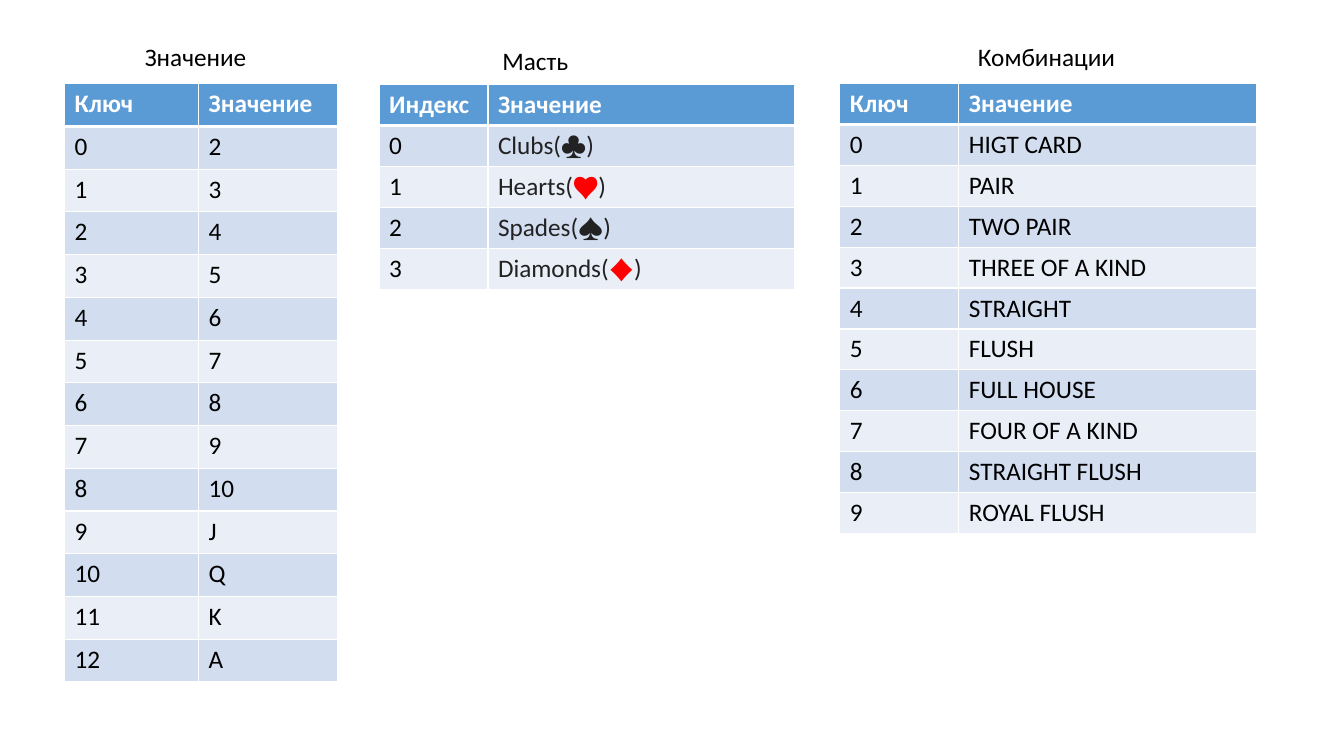
from lxml.etree import SubElement
from pptx import Presentation
from pptx.dml.color import RGBColor as Color
from pptx.enum.text import MSO_AUTO_SIZE as AutoSize, PP_ALIGN as Align
from pptx.oxml.ns import qn
from pptx.util import Emu, Pt

PX = 9144
WHITE = Color(0xFF, 0xFF, 0xFF)
BLACK = Color(0x00, 0x00, 0x00)
CHARCOAL = Color(0x22, 0x22, 0x22)
RED = Color(0xFF, 0x00, 0x00)
HEADER = Color(0x5B, 0x9B, 0xD5)
BANDS = (Color(0xD2, 0xDE, 0xEF), Color(0xEA, 0xEF, 0xF7))

RANKS = [*map(str, range(2, 11)), "J", "Q", "K", "A"]
SUITS = [
    [("Clubs(♣)", CHARCOAL)],
    [("Hearts(", CHARCOAL), ("♥", RED), (")", CHARCOAL)],
    [("Spades(♠)", CHARCOAL)],
    [("Diamonds(", CHARCOAL), ("♦", RED), (")", CHARCOAL)],
]
HANDS = [
    "HIGT CARD", "PAIR", "TWO PAIR", "THREE OF A KIND", "STRAIGHT", "FLUSH",
    "FULL HOUSE", "FOUR OF A KIND", "STRAIGHT FLUSH", "ROYAL FLUSH",
]


class CardSlide:
    """Hold the slide and its style, and draw captions and lookup tables."""

    font_name = "Calibri"
    font_size = Pt(18)

    def __init__(self, presentation):
        self.slide = presentation.slides.add_slide(presentation.slide_layouts[6])

    def add_run(self, paragraph, text, color, bold=False):
        run = paragraph.add_run()
        run.text = text
        run.font.name = self.font_name
        run.font.size = self.font_size
        run.font.bold = bold
        run.font.color.rgb = color

    def add_caption(self, text, left, top):
        bounds = (Emu(value * PX) for value in (left, top, 300, 40))
        frame = self.slide.shapes.add_textbox(*bounds).text_frame
        frame.word_wrap = True
        frame.auto_size = AutoSize.SHAPE_TO_FIT_TEXT
        paragraph = frame.paragraphs[0]
        paragraph.alignment = Align.CENTER
        self.add_run(paragraph, text, BLACK)

    def add_borders(self, cell, bottom_points):
        properties = cell._tc.get_or_add_tcPr()
        for side, points in (("L", 1), ("R", 1), ("T", 1), ("B", bottom_points)):
            line = SubElement(properties, qn(f"a:ln{side}"), w=str(Pt(points)))
            fill = SubElement(line, qn("a:solidFill"))
            SubElement(fill, qn("a:srgbClr"), val=str(WHITE))

    def fill_cell(self, cell, runs, fill, bold=False, bottom_points=1):
        self.add_borders(cell, bottom_points)
        cell.fill.solid()
        cell.fill.fore_color.rgb = fill
        for text, color in runs:
            self.add_run(cell.text_frame.paragraphs[0], text, color, bold)

    def add_lookup(self, key_title, values, left, top, widths, height):
        bounds = (Emu(value * PX) for value in (left, top, sum(widths), height))
        table = self.slide.shapes.add_table(len(values) + 1, 2, *bounds).table
        for column, width in zip(table.columns, widths):
            column.width = Emu(width * PX)
        for column, title in enumerate((key_title, "Значение")):
            self.fill_cell(table.cell(0, column), [(title, WHITE)], HEADER, True, 3)
        for index, value in enumerate(values):
            band = BANDS[index % 2]
            runs = [(value, BLACK)] if isinstance(value, str) else value
            self.fill_cell(table.cell(index + 1, 0), [(str(index), BLACK)], band)
            self.fill_cell(table.cell(index + 1, 1), runs, band)


def main():
    presentation = Presentation()
    presentation.slide_width = Emu(1333 * PX)
    presentation.slide_height = Emu(750 * PX)
    cards = CardSlide(presentation)
    cards.add_lookup("Ключ", RANKS, 64, 83, (133, 138), 594)
    cards.add_lookup("Ключ", HANDS, 833, 83, (118, 295), 446)
    cards.add_caption("Значение", 44, 36)
    cards.add_lookup("Индекс", SUITS, 376, 84, (108, 304), 203)
    cards.add_caption("Масть", 381, 40)
    cards.add_caption("Комбинации", 888, 36)
    presentation.save("out.pptx")


if __name__ == "__main__":
    main()
